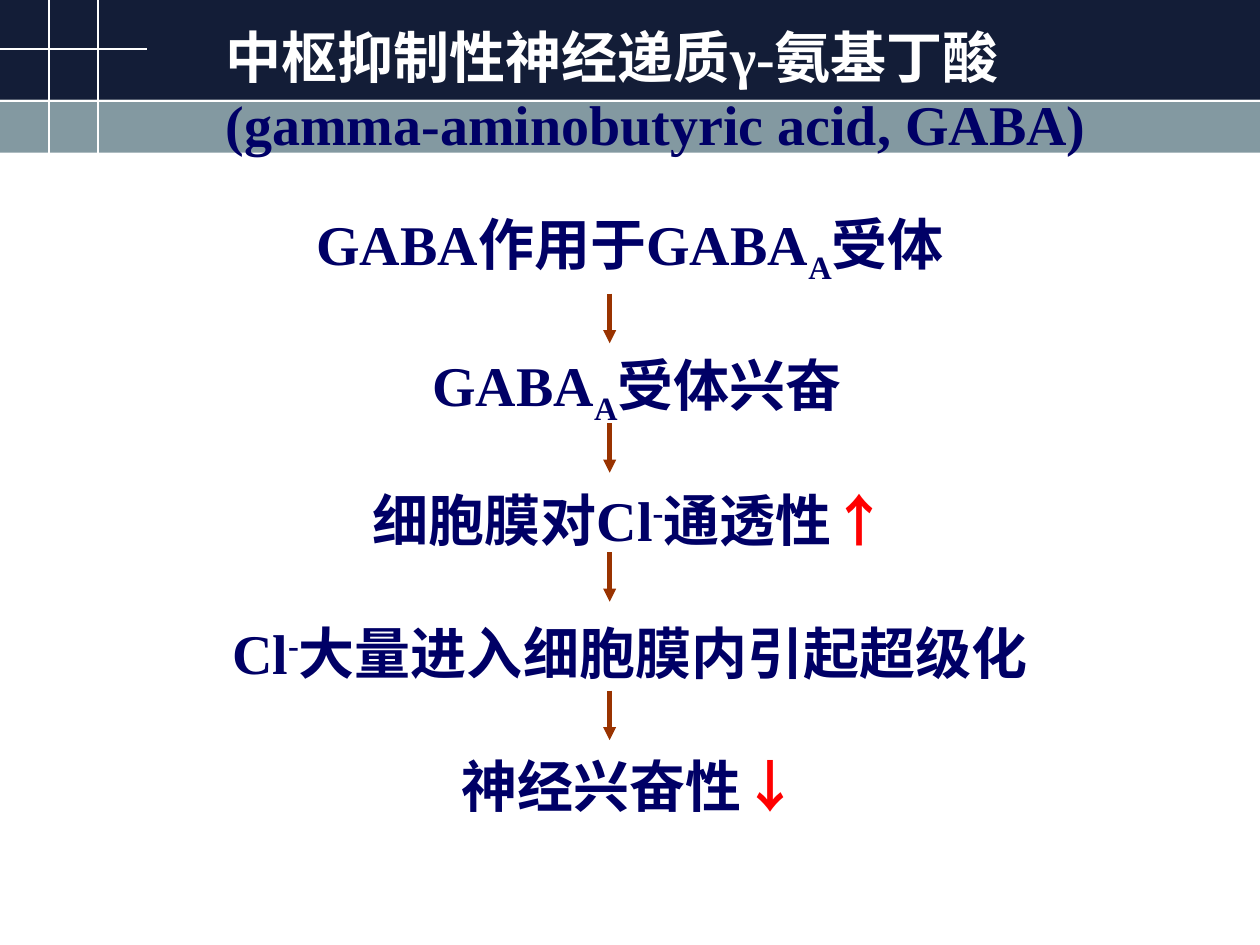
from dataclasses import dataclass

import pptx
import pptx.dml.color
import pptx.enum.shapes
import pptx.enum.text
import pptx.oxml
import pptx.oxml.ns
import pptx.util
from pptx.util import Cm

NAVY, WHITE, RED, BROWN = "000066", "FFFFFF", "FF0000", "993300"
SUBSCRIPT, SUPERSCRIPT = -25000, 30000


@dataclass(frozen=True)
class Band:
    top: float
    height: float
    color: str


@dataclass(frozen=True)
class Line:
    x1: float
    y1: float
    x2: float
    y2: float


@dataclass(frozen=True)
class Piece:
    text: str
    color: str = NAVY
    baseline: int = 0


BANDS = [Band(2.01, 1.07, "8399A1"), Band(0, 2.01, "131D37")]
GRID_LINES = [
    Line(1.98, 0, 1.98, 3.15),
    Line(0, 0.99, 2.97, 0.99),
    Line(0.99, -0.05, 0.99, 3.15),
    Line(0, 2.03, 25.4, 2.03),
]
ARROW_X, ARROW_LENGTH = 12.29, 1.0
ARROW_TOPS = [5.92, 8.53, 11.13, 13.92]
HEADING = [
    [Piece("中枢抑制性神经递质γ-氨基丁酸", WHITE)],
    [Piece("(gamma-aminobutyric acid, GABA)")],
]
STEPS = [
    [Piece("GABA作用于GABA"), Piece("A", baseline=SUBSCRIPT), Piece("受体")],
    [Piece(" GABA"), Piece("A", baseline=SUBSCRIPT), Piece("受体兴奋")],
    [Piece("细胞膜对Cl"), Piece("-", baseline=SUPERSCRIPT), Piece("通透性"), Piece("↑", RED)],
    [Piece("Cl"), Piece("-", baseline=SUPERSCRIPT), Piece("大量进入细胞膜内引起超级化")],
    [Piece("神经兴奋性"), Piece("↓", RED)],
]


def rgb(value: str) -> pptx.dml.color.RGBColor:
    return pptx.dml.color.RGBColor.from_string(value)


def add_band(page, band: Band) -> None:
    shape = page.shapes.add_shape(
        pptx.enum.shapes.MSO_SHAPE.RECTANGLE,
        0, Cm(band.top), Cm(25.4), Cm(band.height),
    )
    shape.shadow.inherit = False
    shape.fill.solid()
    shape.fill.fore_color.rgb = rgb(band.color)
    shape.line.fill.background()


def add_line(page, line: Line, color: str, width: float, arrow: bool = False) -> None:
    connector = page.shapes.add_connector(
        pptx.enum.shapes.MSO_CONNECTOR.STRAIGHT,
        Cm(line.x1), Cm(line.y1), Cm(line.x2), Cm(line.y2),
    )
    connector.line.color.rgb = rgb(color)
    connector.line.width = pptx.util.Pt(width)
    if arrow:
        tail = pptx.oxml.parse_xml(
            f'<a:tailEnd {pptx.oxml.ns.nsdecls("a")} type="triangle"/>'
        )
        connector.line._get_or_add_ln().append(tail)
    properties = connector.element.spPr
    properties.append(pptx.oxml.parse_xml(f'<a:effectLst {pptx.oxml.ns.nsdecls("a")}/>'))


def write_text(box, paragraphs: list[list[Piece]], *, align, spacing: float = 1.0,
               first_gap: float = 0, gap: float = 0) -> None:
    frame = box.text_frame
    frame.word_wrap = True
    frame.auto_size = pptx.enum.text.MSO_AUTO_SIZE.NONE
    frame.vertical_anchor = pptx.enum.text.MSO_ANCHOR.TOP
    for index, pieces in enumerate(paragraphs):
        para = frame.add_paragraph() if index else frame.paragraphs[0]
        para.alignment = align
        para.line_spacing = spacing
        para.space_before = pptx.util.Pt(gap if index else first_gap)
        for piece in pieces:
            span = para.add_run()
            span.text = piece.text
            span.font.name = "Times New Roman"
            span.font.size = pptx.util.Pt(32)
            span.font.bold = True
            span.font.color.rgb = rgb(piece.color)
            if piece.baseline:
                span.font._element.set("baseline", str(piece.baseline))


def place_title(page) -> None:
    title = page.shapes.title
    title.left, title.top, title.width, title.height = Cm(4.29), Cm(0.33), Cm(18.2), Cm(4.32)
    write_text(title, HEADING, align=pptx.enum.text.PP_ALIGN.LEFT)
    title.element.getparent().append(title.element)


def main() -> None:
    deck = pptx.Presentation()
    deck.slide_width, deck.slide_height = Cm(25.4), Cm(19.05)
    page = deck.slides.add_slide(deck.slide_layouts.get_by_name("Title Only"))
    for band in BANDS:
        add_band(page, band)
    for line in GRID_LINES:
        add_line(page, line, WHITE, 1)
    steps_box = page.shapes.add_textbox(Cm(1.27), Cm(4.24), Cm(22.86), Cm(13.28))
    write_text(steps_box, STEPS, align=pptx.enum.text.PP_ALIGN.CENTER,
               spacing=0.8, first_gap=8, gap=45.5)
    place_title(page)
    for top in ARROW_TOPS:
        add_line(page, Line(ARROW_X, top, ARROW_X, top + ARROW_LENGTH), BROWN, 2.5, arrow=True)
    deck.save("out.pptx")


main()
